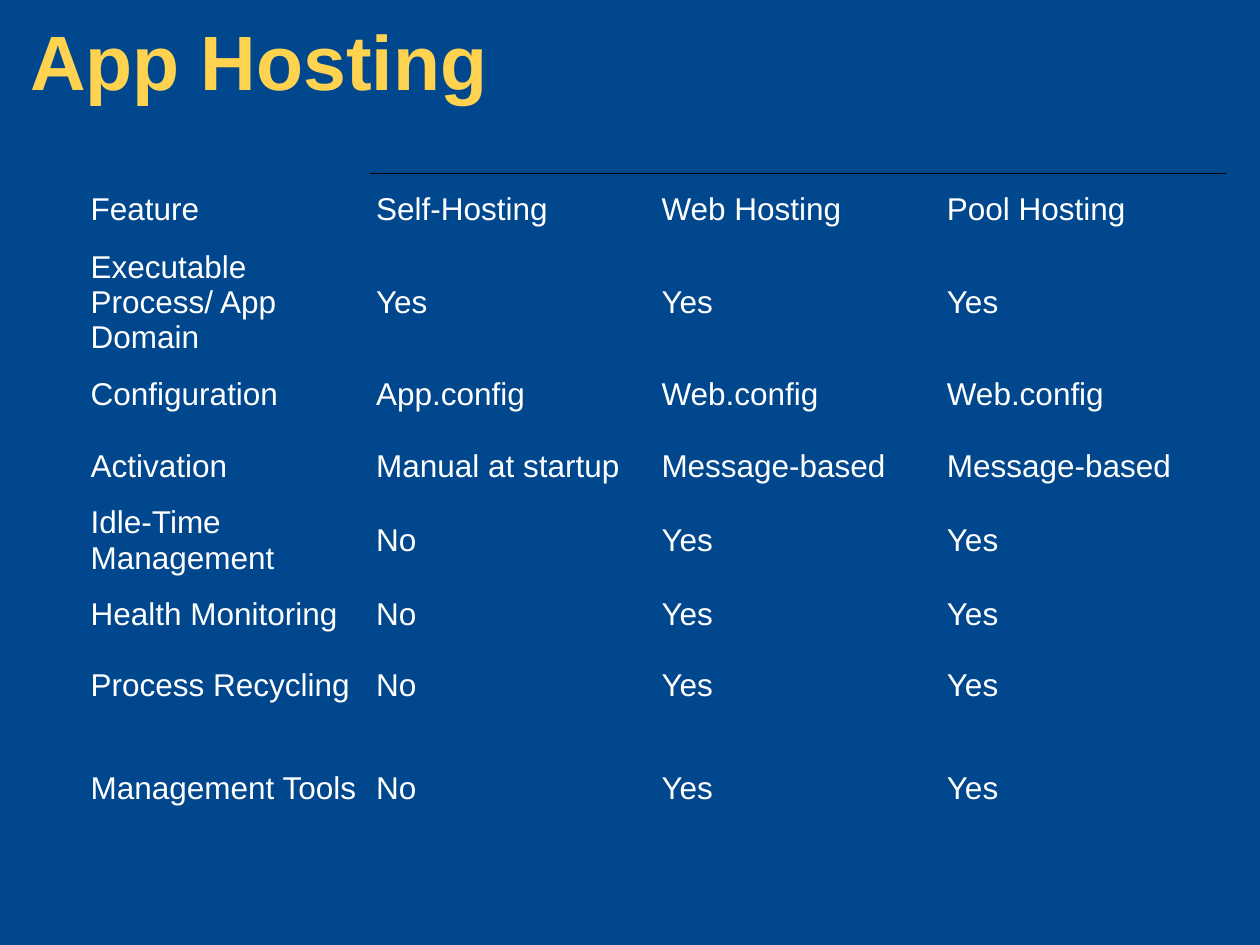
from lxml import etree
from pptx import Presentation
from pptx import util as u
from pptx.dml.color import RGBColor
from pptx.enum import text
from pptx.oxml import parse_xml
from pptx.oxml.ns import nsdecls, qn

COLORS = {"background": "00478E", "title": "FFD34F", "body": "FFFFFF", "rule": "000000"}
NO_STYLE = "{2D5ABB26-0587-4C30-8999-92F81FD0307C}"
HOSTING = [
    ["Feature", "Self-Hosting", "Web Hosting", "Pool Hosting"],
    ["Executable Process/ App Domain", "Yes", "Yes", "Yes"],
    ["Configuration", "App.config", "Web.config", "Web.config"],
    ["Activation", "Manual at startup", "Message-based", "Message-based"],
    ["Idle-Time Management", "No", "Yes", "Yes"],
    ["Health Monitoring", "No", "Yes", "Yes"],
    ["Process Recycling", "No", "Yes", "Yes"],
    ["Management Tools", "No", "Yes", "Yes"],
]
ROW_HEIGHTS = [0.57, 0.81] + [0.57] * 5 + [1.06]
CELL_FORMAT = {
    "margin_left": u.Inches(0.05),
    "margin_right": u.Inches(0.05),
    "margin_top": u.Inches(0),
    "margin_bottom": u.Inches(0),
    "vertical_anchor": text.MSO_ANCHOR.MIDDLE,
}
TITLE_FORMAT = {
    "word_wrap": True,
    "vertical_anchor": text.MSO_ANCHOR.TOP,
    "margin_top": u.Inches(0.05),
    "margin_bottom": u.Inches(0.05),
}


def apply_format(target, values):
    for attribute, value in values.items():
        setattr(target, attribute, value)


def style_font(font, size, color, bold=False):
    apply_format(font, {"name": "Arial", "size": u.Pt(size), "bold": bold})
    font.color.rgb = RGBColor.from_string(COLORS[color])


prs = Presentation()
prs.slide_width, prs.slide_height = u.Inches(10), u.Inches(7.5)
slide = prs.slides.add_slide(prs.slide_layouts[6])
slide.background.fill.solid()
slide.background.fill.fore_color.rgb = RGBColor.from_string(COLORS["background"])

title = slide.shapes.add_textbox(u.Inches(0.14), u.Inches(0.14), u.Inches(9.7), u.Inches(0.76)).text_frame
apply_format(title, TITLE_FORMAT)
heading = title.paragraphs[0]
heading.text = "App Hosting"
heading.line_spacing = 0.9
style_font(heading.runs[0].font, 44, "title", True)

comparison = slide.shapes.add_table(
    len(HOSTING), len(HOSTING[0]), u.Inches(0.67), u.Inches(1.38), u.Inches(9.06), u.Inches(sum(ROW_HEIGHTS))
).table
apply_format(comparison, {"first_row": False, "horz_banding": False})
comparison._tbl.tblPr.find(qn("a:tableStyleId")).text = NO_STYLE

for r, (features, height) in enumerate(zip(HOSTING, ROW_HEIGHTS)):
    comparison.rows[r].height = u.Inches(height)
    for c, wording in enumerate(features):
        cell = comparison.cell(r, c)
        cell.text = wording
        apply_format(cell, CELL_FORMAT)
        cell.fill.background()
        style_font(cell.text_frame.paragraphs[0].runs[0].font, 18, "body")
        if r == 0 and c > 0:
            rule = parse_xml(f'<a:lnT {nsdecls("a")} w="9525"/>')
            rule_fill = etree.SubElement(rule, qn("a:solidFill"))
            etree.SubElement(rule_fill, qn("a:srgbClr"), val=COLORS["rule"])
            cell._tc.tcPr.insert(0, rule)

prs.save("out.pptx")
